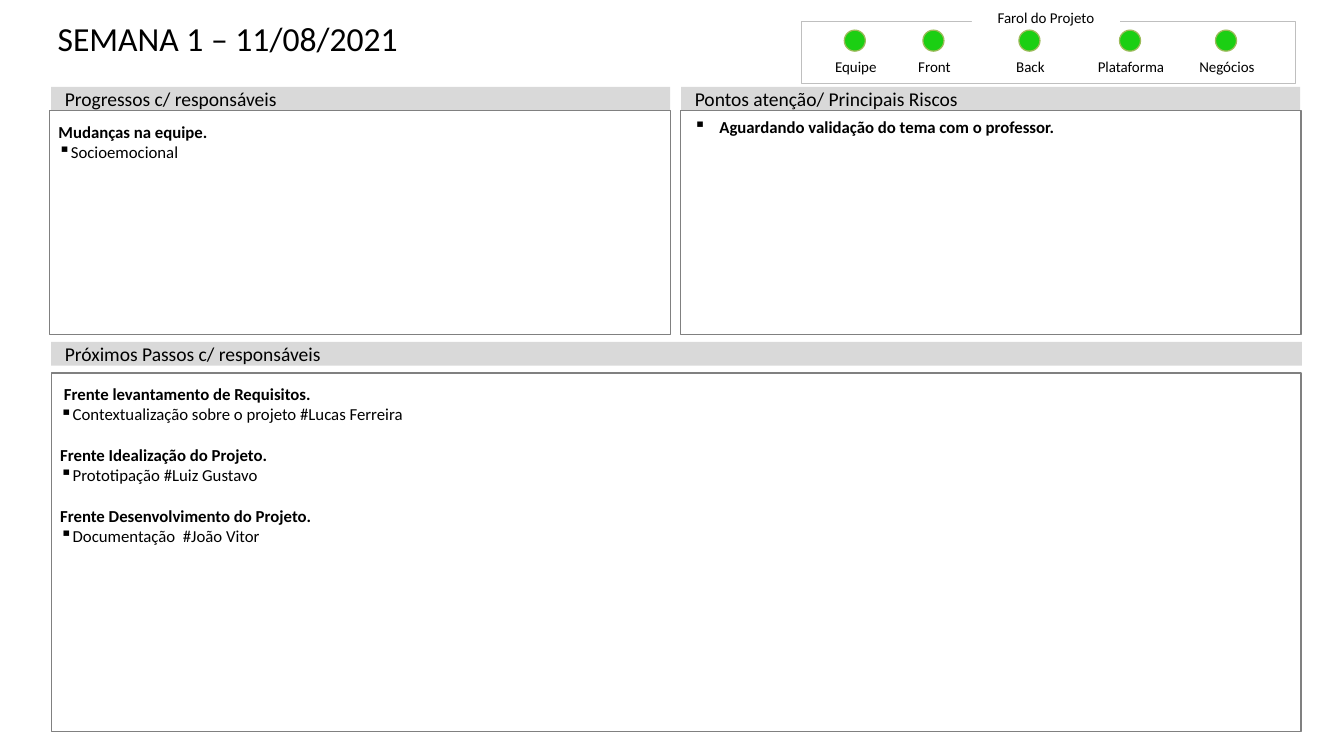
from dataclasses import dataclass
from pptx import Presentation
from pptx import util as u
from pptx.dml import color
from pptx.enum import shapes, text
from pptx.oxml import xmlchemy as xml
from pptx.oxml import ns


@dataclass(frozen=True)
class Theme:
    font: str = "Calibri"
    ink: str = "000000"
    paper: str = "FFFFFF"
    band: str = "D9D9D9"
    edge: str = "808080"
    frame: str = "BFBFBF"
    lamp: str = "1BCF13"
    rim: str = "9BBB59"
    title: float = 26.5
    head: float = 15.4
    body: float = 13.2
    small: float = 11.8


T = Theme()

# Content
TITLE = "SEMANA 1 – 11/08/2021"
STATUS = "Farol do Projeto"
LAMPS = [("Equipe", 9.35), ("Front", 10.21), ("Back", 11.26),
         ("Plataforma", 12.36), ("Negócios", 13.41)]  # name, centre
HEADS = [("Progressos c/ responsáveis", (0.56, 0.95, 6.77)),
         ("Pontos atenção/ Principais Riscos", (7.45, 0.95, 6.77)),
         ("Próximos Passos c/ responsáveis", (0.56, 3.74, 13.68))]
DONE = [("Mudanças na equipe.", ["Socioemocional"])]
RISK = "Aguardando validação do tema com o professor."
NEXT = [(" Frente levantamento de Requisitos.",
         ["Contextualização sobre o projeto #Lucas Ferreira"]),
        ("Frente Idealização do Projeto.", ["Prototipação #Luiz Gustavo"]),
        ("Frente Desenvolvimento do Projeto.", ["Documentação  #João Vitor"])]
PANELS = [(DONE, (0.54, 1.21, 6.79, 2.45)),
          ([], (7.44, 1.21, 6.79, 2.45)),
          (NEXT, (0.56, 4.08, 13.67, 3.92))]

# Sizes
LAMP, BAND, HANG, GAP = 0.23, 0.26, 0.28, 16.1
TAG_W, TAG_H = 0.98, 0.2

deck = Presentation()
deck.slide_width, deck.slide_height = u.Inches(14.7), u.Inches(8.27)
page = deck.slides.add_slide(deck.slide_layouts[6])


def rgb(code):
    return color.RGBColor.from_string(code)


def shape(box, fill=None, line=None, width=1, kind="RECTANGLE"):
    item = page.shapes.add_shape(getattr(shapes.MSO_SHAPE, kind),
                                 *map(u.Inches, box))
    item.shadow.inherit = False
    if fill:
        item.fill.solid()
        item.fill.fore_color.rgb = rgb(fill)
    else:
        item.fill.background()
    if line:
        item.line.color.rgb = rgb(line)
        item.line.width = u.Pt(width)
    else:
        item.line.fill.background()
    return item


def label(box):
    return page.shapes.add_textbox(*map(u.Inches, box))


def setup(item, pads=(0.1, 0.05, 0.1, 0.05), anchor="TOP", wrap=True):
    frame = item.text_frame
    frame.word_wrap = wrap
    frame.vertical_anchor = getattr(text.MSO_ANCHOR, anchor)
    (frame.margin_left, frame.margin_top,
     frame.margin_right, frame.margin_bottom) = map(u.Inches, pads)
    return frame


def write(frame, words, size=T.body, bold=False, align="LEFT",
          bullet=False, left=0, before=0):
    para = frame.paragraphs[0]
    if para.runs:
        para = frame.add_paragraph()
    para.alignment = getattr(text.PP_ALIGN, align)
    para.space_before = u.Pt(before)
    run = para.add_run()
    run.text = words
    run.font.name, run.font.size, run.font.bold = T.font, u.Pt(size), bold
    run.font.color.rgb = rgb(T.ink)
    if bullet:
        props = para._p.get_or_add_pPr()
        props.set("marL", str(u.Inches(left)))
        props.set("indent", str(-u.Inches(HANG)))
        mark = xml.OxmlElement("a:buChar")
        mark.set("char", "▪")
        props.append(mark)


# Title
write(setup(label((0.51, 0.2, 13.23, 0.88)), (0.12, 0, 0.12, 0)),
      TITLE, size=T.title)

# Section bands
for words, spot in HEADS:
    band = shape((*spot, BAND), fill=T.band)
    write(setup(band, (0.15, 0.07, 0.15, 0.07), "MIDDLE"), words, size=T.head)

# Panels
for groups, box in PANELS:
    frame = setup(shape(box, line=T.edge), (0.1, 0.12, 0.1, 0.05))
    for row, (head, items) in enumerate(groups):
        write(frame, head, bold=True, before=GAP if row else 0)
        for words in items:
            write(frame, words, bullet=True)
write(setup(label((7.49, 1.23, 6.74, 0.32))), RISK,
      bold=True, bullet=True, left=HANG)

# Project status lights
TAG = dict(pads=(0.06, 0.06, 0.06, 0), anchor="BOTTOM", wrap=False)
shape((8.77, 0.23, 5.4, 0.68), line=T.frame, width=0.5)
cap = shape((10.63, 0.06, 1.62, 0.23), fill=T.paper)
write(setup(cap, **TAG), STATUS, size=T.small, align="CENTER")
for name, mid in LAMPS:
    shape((mid - LAMP / 2, 0.33, LAMP, LAMP), T.lamp, T.rim, kind="OVAL")
    tag = label((mid + 0.01 - TAG_W / 2, 0.63, TAG_W, TAG_H))
    write(setup(tag, **TAG), name, size=T.small, align="CENTER")

deck.save("out.pptx")
